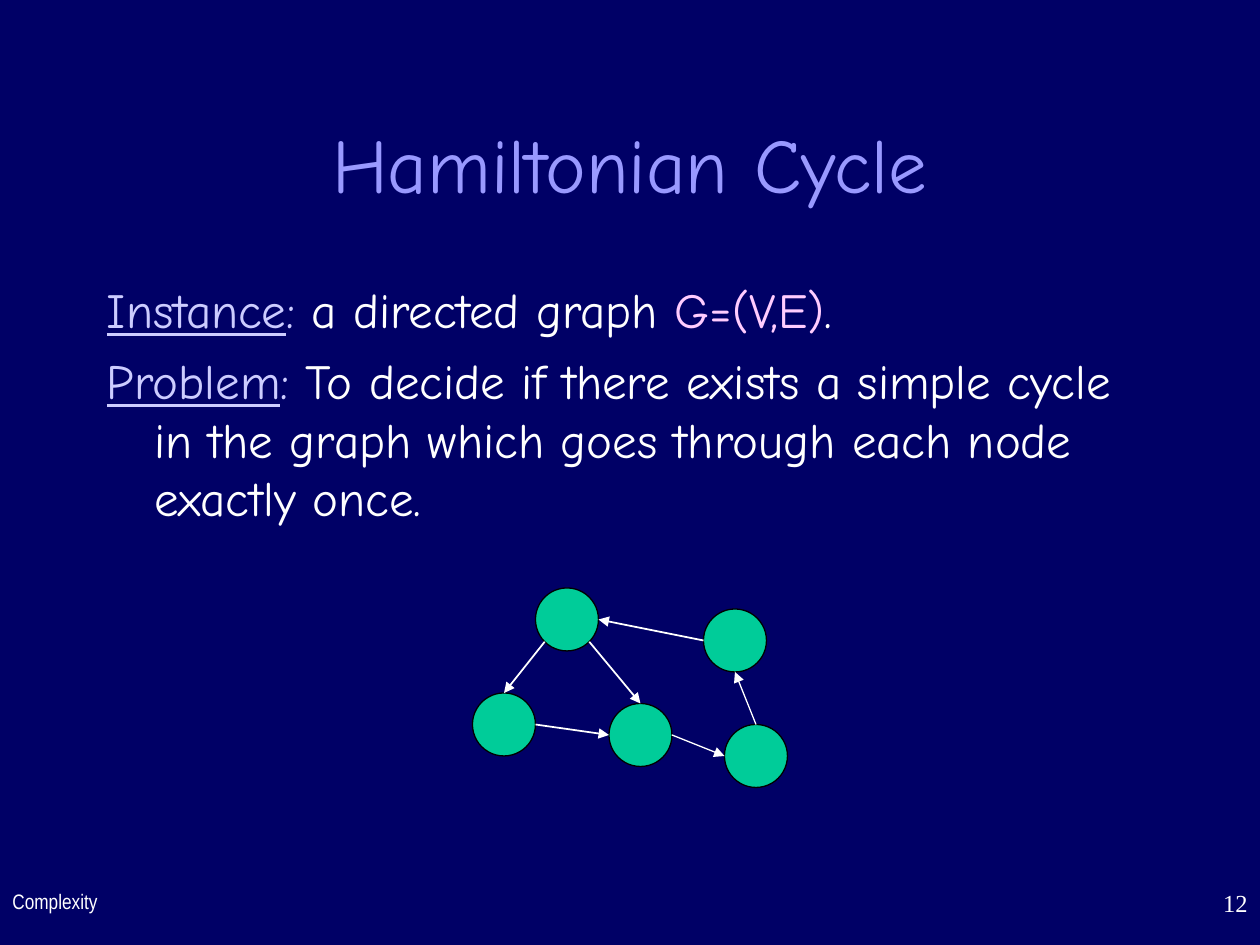
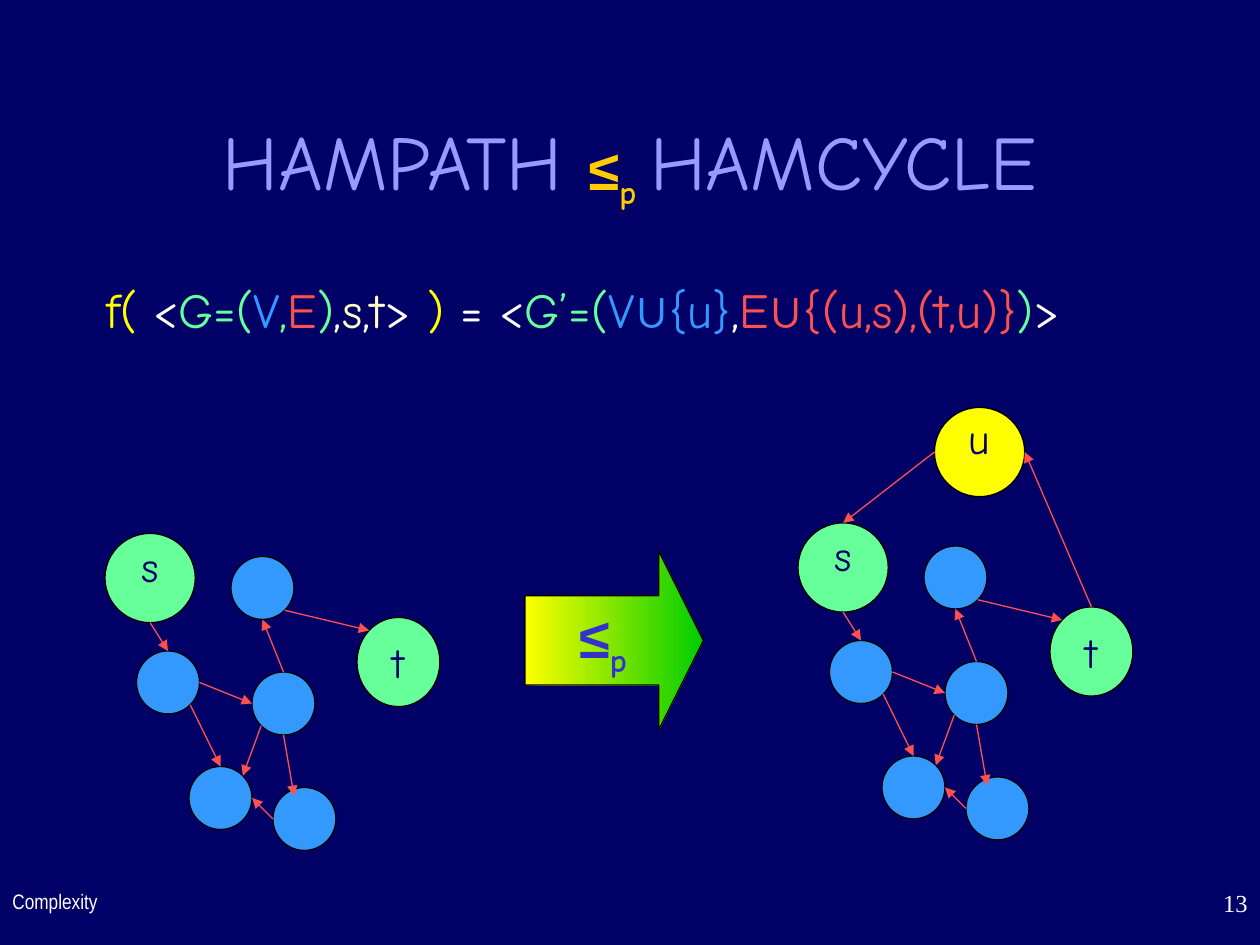
from dataclasses import dataclass
from math import sqrt

from lxml.etree import SubElement
from pptx import Presentation
from pptx.dml.color import RGBColor as RGB
from pptx.enum.shapes import MSO_CONNECTOR as LINE, MSO_SHAPE as SHAPE
from pptx.enum.text import MSO_ANCHOR as ANCHOR, PP_ALIGN as ALIGN
from pptx.oxml.ns import qn
from pptx.util import Pt

SCALE = 7620  # EMU per px, 120 px to the inch


@dataclass(frozen=True)
class Theme:
    # Colours
    back: str = "000066"
    title: str = "9999FF"
    white: str = "FFFFFF"
    black: str = "000000"
    term: str = "CCCCFF"
    pink: str = "FFCCFF"
    cream: str = "FFFFCC"
    teal: str = "00CC99"
    mint: str = "66FF99"
    blue: str = "3399FF"
    red: str = "FF5050"
    yellow: str = "FFFF00"
    gold: str = "FFCC00"
    green: str = "00CC00"
    indigo: str = "3333CC"
    # Fonts and sizes
    hand: str = "Comic Neue"
    sans: str = "Arial"
    narrow: str = "Arial Narrow"
    serif: str = "Times New Roman"
    head: int = 44
    sign: int = 32
    body: int = 28
    label: int = 24
    page: int = 14
    foot: int = 12


T = Theme()
DIAG = sqrt(0.5)
SIDES = {
    "N": (0, -1), "S": (0, 1), "W": (-1, 0), "E": (1, 0),
    "NW": (-DIAG, -DIAG), "NE": (DIAG, -DIAG),
    "SW": (-DIAG, DIAG), "SE": (DIAG, DIAG),
    "inner": (-0.33, -0.73),
}


def px(*nums):
    return [round(n * SCALE) for n in nums]


def run(text, color, size=T.body, font=T.hand, **more):
    return dict(text=text, color=color, size=size, font=font, **more)


def sign(color):
    """The reduction sign: a bold symbol with a lowered p."""
    return [run("≤", color, T.sign, T.sans, bold=True),
            run("p", color, T.sign, bold=True, base=-25)]


class Deck:
    def __init__(self, theme):
        self.theme = theme
        self.prs = Presentation()
        self.prs.slide_width, self.prs.slide_height = px(1200, 900)
        self.slide = None

    def page(self, num, title):
        t = self.theme
        self.slide = self.prs.slides.add_slide(self.prs.slide_layouts[6])
        fill = self.slide.background.fill
        fill.solid()
        fill.fore_color.rgb = RGB.from_string(t.back)
        self.text((90, 80, 1020, 150), [title], ALIGN.CENTER, ANCHOR.MIDDLE)
        self.text((0, 840, 380, 60),
                  [[run("Complexity", t.white, t.foot, t.narrow)]])
        self.text((950, 840, 250, 60),
                  [[run(str(num), t.white, t.page, t.serif)]], ALIGN.RIGHT)

    def typeset(self, frame, paras, align=ALIGN.LEFT, anchor=ANCHOR.TOP,
                hang=0, lift=0):
        frame.word_wrap = True
        frame.vertical_anchor = anchor
        frame.margin_left, frame.margin_top = px(12, 6)
        frame.margin_right, frame.margin_bottom = px(12, 6 + 2 * lift)
        for i, runs in enumerate(paras):
            para = frame.add_paragraph() if i else frame.paragraphs[0]
            para.alignment = align
            if i:
                para.space_before = Pt(7)
            if hang:
                props = para._p.get_or_add_pPr()
                props.set("marL", str(px(hang)[0]))
                props.set("indent", str(px(-hang)[0]))
            for part in runs:
                self.add_run(para, **part)

    def add_run(self, para, text, color, size, font, bold=False,
                under=False, base=0):
        item = para.add_run()
        item.text = text
        face = item.font
        face.name, face.size = font, Pt(size)
        face.bold, face.underline = bold, under
        face.color.rgb = RGB.from_string(color)
        if base:
            face._element.set("baseline", str(base * 1000))

    def text(self, box, paras, *args, **more):
        shape = self.slide.shapes.add_textbox(*px(*box))
        self.typeset(shape.text_frame, paras, *args, **more)

    def shape(self, kind, box):
        shape = self.slide.shapes.add_shape(kind, *px(*box))
        shape.shadow.inherit = False
        shape.line.color.rgb = RGB.from_string(self.theme.black)
        shape.line.width = Pt(0.75)
        return shape

    def node(self, box, color, label="", lift=0):
        t = self.theme
        shape = self.shape(SHAPE.OVAL, box)
        shape.fill.solid()
        shape.fill.fore_color.rgb = RGB.from_string(color)
        if label:
            self.typeset(shape.text_frame, [[run(label, t.back, t.label)]],
                         ALIGN.CENTER, ANCHOR.MIDDLE, lift=lift)

    def edge(self, tail, head, color, width=0.75):
        """Draw an arrow; each end is a (box, side) pair."""
        ends = []
        for (x, y, w, h), side in (tail, head):
            dx, dy = SIDES[side]
            ends += [x + w / 2 * (1 + dx), y + h / 2 * (1 + dy)]
        link = self.slide.shapes.add_connector(LINE.STRAIGHT, *px(*ends))
        link.line.color.rgb = RGB.from_string(color)
        link.line.width = Pt(width)
        SubElement(link.line._get_or_add_ln(), qn("a:tailEnd"), type="triangle")
        SubElement(link._element.spPr, qn("a:effectLst"))

    def arrow(self, box, left, right, runs):
        shape = self.shape(SHAPE.RIGHT_ARROW, box)
        shape.adjustments[0], shape.adjustments[1] = 0.5, 0.25
        shape.fill.gradient()
        shape.fill.gradient_angle = 0
        for stop, color in zip(shape.fill.gradient_stops, (left, right)):
            stop.color.rgb = RGB.from_string(color)
        self.typeset(shape.text_frame, [runs], ALIGN.CENTER, ANCHOR.MIDDLE)


def dots(spots, dx=0, dy=0):
    return {name: (x + dx, y + dy, 60, 60) for name, (x, y) in spots.items()}


def cycle(deck):
    deck.page(12, [run("Hamiltonian Cycle", T.title, T.head)])
    deck.text((90, 260, 1020, 380), [
        [run("Instance", T.term, under=True), run(":", T.term),
         run(" a directed graph ", T.white), run("G=(V,E)", T.pink),
         run(".", T.white)],
        [run("Problem", T.term, under=True), run(":", T.term),
         run(" To decide if there exists a simple cycle in the graph "
             "which goes through each node exactly once.", T.white)],
    ], hang=45)

    # Example graph
    nodes = dots({"a": (510, 560), "b": (670, 580), "c": (450, 660),
                  "d": (580, 670), "e": (690, 690)})
    for box in nodes.values():
        deck.node(box, T.teal)
    for a, out, b, into, width in [
            ("d", "E", "e", "W", 0.75), ("e", "N", "b", "S", 0.75),
            ("a", "SW", "c", "N", 1), ("c", "E", "d", "W", 1),
            ("b", "W", "a", "E", 1), ("a", "SE", "d", "N", 1)]:
        deck.edge((nodes[a], out), (nodes[b], into), T.white, width)


SPOTS = {"a": (130, 620), "b": (220, 530), "d": (240, 640),
         "e": (180, 730), "g": (260, 750)}
EDGES = [("s", "S", "a", "N"), ("a", "E", "d", "W"), ("d", "N", "b", "S"),
         ("b", "SE", "t", "NW"), ("a", "SE", "e", "N"),
         ("d", "SW", "e", "NE"), ("d", "S", "g", "inner"),
         ("g", "W", "e", "E")]


def graph(deck, dx=0, dy=0, loop=False):
    """Draw the path graph; loop adds node u, which closes the cycle."""
    nodes = dots(SPOTS, dx, dy)
    for box in nodes.values():
        deck.node(box, T.blue)
    ends = [("s", (100, 508, 86, 85), T.mint, 12),
            ("t", (340, 588, 79, 85), T.mint, 0)]
    edges = list(EDGES)
    if loop:
        ends.append(("u", (230, 398, 86, 85), T.yellow, 14))
        edges += [("u", "W", "s", "N"), ("t", "N", "u", "E")]
    for name, (x, y, w, h), color, lift in ends:
        nodes[name] = (x + dx, y + dy, w, h)
        deck.node(nodes[name], color, name, lift)
    for a, out, b, into in edges:
        deck.edge((nodes[a], out), (nodes[b], into), T.red)


def mapping(deck):
    deck.page(13, [run("HAMPATH ", T.title, T.head), *sign(T.gold),
                   run(" ", T.gold, T.label),
                   run("HAMCYCLE", T.title, T.head)])

    # Mapping formula
    parts = [("f(", T.yellow), (" <", T.white), ("G=(", T.mint),
             ("V", T.blue), (",", T.mint), ("E", T.red), (")", T.mint),
             (",", T.white), ("s", T.cream), (",", T.white), ("t", T.cream),
             ("> ", T.white), (")", T.yellow), (" = <", T.white),
             ("G’=(", T.mint), ("V", T.blue), ("∪", T.blue),
             ("{u}", T.blue), (",", T.white), ("E", T.red), ("∪", T.red),
             ("{(u,s),(t,u)}", T.red), (")", T.mint), (">", T.white)]
    runs = [run(text, color, font=T.sans if text == "∪" else T.hand)
            for text, color in parts]
    deck.text((90, 260, 1020, 95), [runs], hang=45)

    # Path graph, reduction arrow, cycle graph
    graph(deck)
    deck.arrow((500, 525, 170, 170), T.yellow, T.green, sign(T.indigo))
    graph(deck, 660, -10, loop=True)


def main():
    deck = Deck(T)
    cycle(deck)
    mapping(deck)
    deck.prs.save("out.pptx")


if __name__ == "__main__":
    main()
